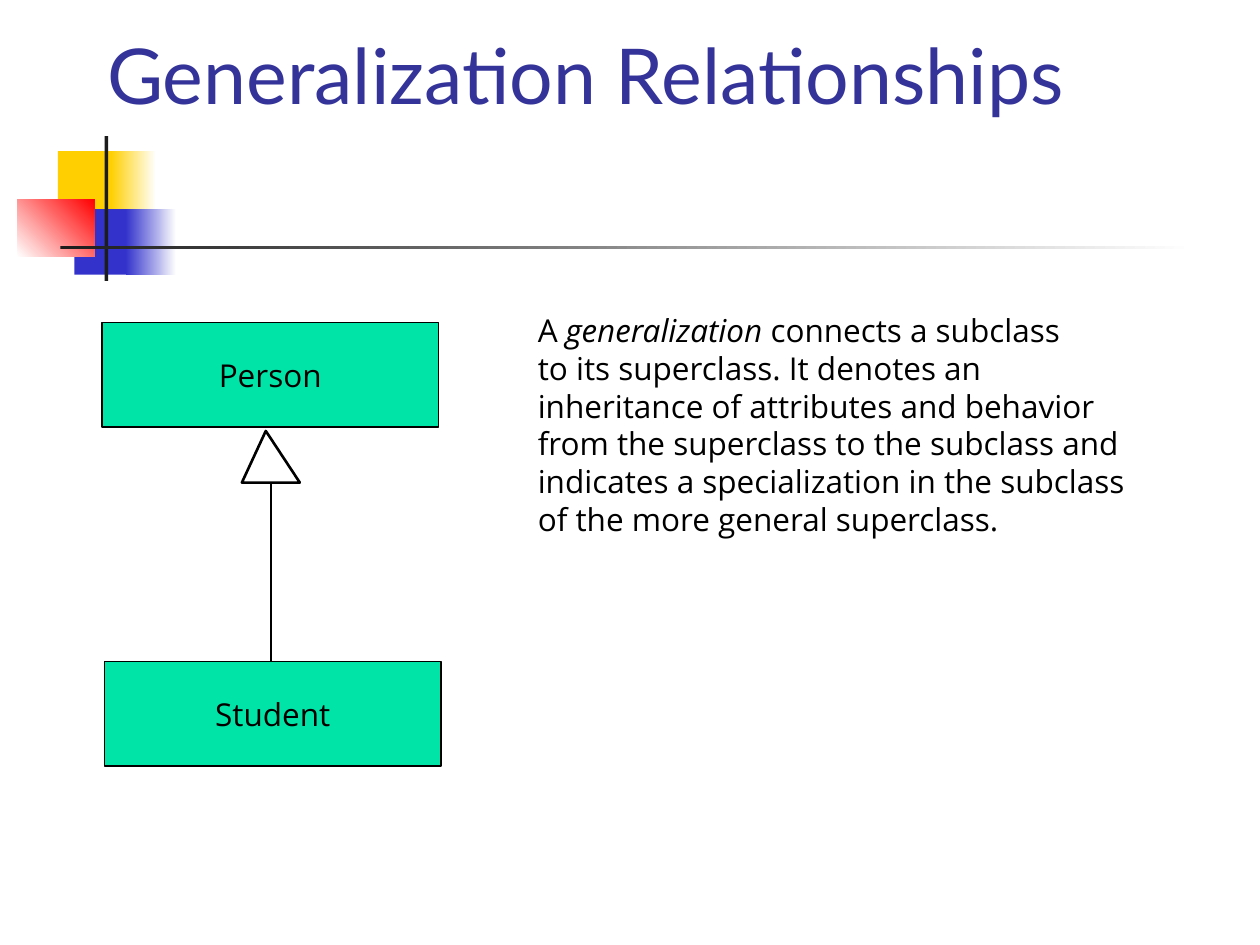
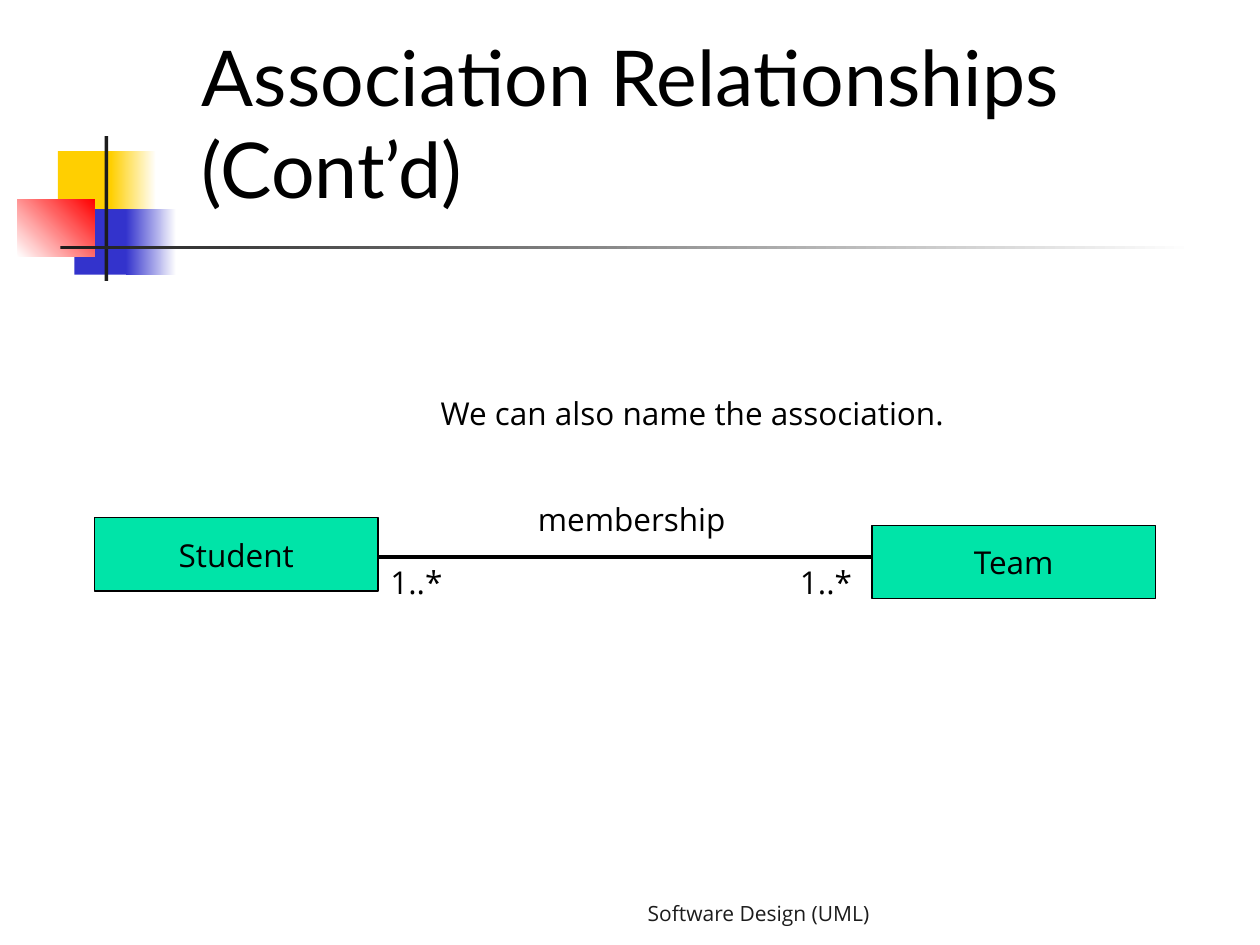
from lxml import etree
from pptx import Presentation
from pptx.dml.color import RGBColor
from pptx.enum.shapes import MSO_CONNECTOR, MSO_SHAPE
from pptx.enum.text import MSO_ANCHOR, MSO_AUTO_SIZE, PP_ALIGN
from pptx.oxml.ns import qn
from pptx.util import Inches, Pt

RECTANGLE = MSO_SHAPE.RECTANGLE
STRAIGHT = MSO_CONNECTOR.STRAIGHT
TOP, MIDDLE, BOTTOM = MSO_ANCHOR.TOP, MSO_ANCHOR.MIDDLE, MSO_ANCHOR.BOTTOM
LEFT, CENTER = PP_ALIGN.LEFT, PP_ALIGN.CENTER
RIGHT, JUSTIFY = PP_ALIGN.RIGHT, PP_ALIGN.JUSTIFY
FIXED, GROW = MSO_AUTO_SIZE.NONE, MSO_AUTO_SIZE.SHAPE_TO_FIT_TEXT

BLACK = RGBColor(0x00, 0x00, 0x00)
WHITE = RGBColor(0xFF, 0xFF, 0xFF)
CHARCOAL = RGBColor(0x1C, 0x1C, 0x1C)
YELLOW = RGBColor(0xFF, 0xCF, 0x01)
BLUE = RGBColor(0x33, 0x33, 0xCC)
RED = RGBColor(0xFF, 0x00, 0x00)
TITLE_BLUE = RGBColor(0x33, 0x33, 0x99)
CLASS_GREEN = RGBColor(0x00, 0xE4, 0xA8)

TITLE_FONT, BODY_FONT = "Lato", "Open Sans"
TITLE_ONLY_LAYOUT = 5

# Left, top, width, height, colours (two make a gradient), gradient angle
ORNAMENT = [
    (0.46, 1.2, 0.48, 0.52, [YELLOW], 0),
    (0.88, 1.2, 0.36, 0.52, [YELLOW, WHITE], 0),
    (0.59, 1.66, 0.46, 0.52, [BLUE], 0),
    (1, 1.66, 0.4, 0.52, [BLUE, WHITE], 0),
    (0.14, 1.58, 0.61, 0.46, [WHITE, RED], 45),
    (0.83, 1.08, 0.03, 1.15, [CHARCOAL], 0),
    (0.48, 1.95, 9, 0.03, [CHARCOAL, WHITE], 0),
]


def inches(*lengths):
    return [Inches(length) for length in lengths]


def style_paragraph(paragraph, align, font_name, size, color):
    paragraph.alignment = align
    font = paragraph.font
    font.name, font.size, font.color.rgb = font_name, Pt(size), color


def add_ornament(slide):
    """Coloured squares and fading rule beside the title."""
    for *bounds, colors, angle in ORNAMENT:
        block = slide.shapes.add_shape(RECTANGLE, *inches(*bounds))
        block.shadow.inherit = False
        block.line.fill.background()
        if len(colors) == 1:
            block.fill.solid()
            block.fill.fore_color.rgb = colors[0]
        else:
            block.fill.gradient()
            block.fill.gradient_angle = angle
            for stop, color in zip(block.fill.gradient_stops, colors):
                stop.color.rgb = color


def set_title(slide, text, bounds, color):
    title = slide.shapes.title
    title.left, title.top, title.width, title.height = inches(*bounds)
    frame = title.text_frame
    frame.text = text
    frame.word_wrap = True
    frame.auto_size = FIXED
    frame.vertical_anchor = BOTTOM
    style_paragraph(frame.paragraphs[0], LEFT, TITLE_FONT, 44, color)


def add_slide(deck, title, bounds, title_color):
    slide = deck.slides.add_slide(deck.slide_layouts[TITLE_ONLY_LAYOUT])
    add_ornament(slide)
    set_title(slide, title, bounds, title_color)
    return slide


def add_class_box(slide, name, *bounds):
    box = slide.shapes.add_shape(RECTANGLE, *inches(*bounds))
    box.shadow.inherit = False
    box.fill.solid()
    box.fill.fore_color.rgb = CLASS_GREEN
    box.line.color.rgb = BLACK
    box.line.width = Pt(0.75)
    frame = box.text_frame
    frame.text = name
    frame.word_wrap = False
    frame.vertical_anchor = MIDDLE
    style_paragraph(frame.paragraphs[0], CENTER, BODY_FONT, 18, BLACK)


def add_text(slide, lines, bounds, align=LEFT, size=18, color=BLACK,
             wrap=True, anchor=TOP, fit=GROW):
    """Each line is a list of (text, italic) runs."""
    frame = slide.shapes.add_textbox(*inches(*bounds)).text_frame
    frame.word_wrap = wrap
    frame.auto_size = fit
    frame.vertical_anchor = anchor
    for index, runs in enumerate(lines):
        paragraph = frame.add_paragraph() if index else frame.paragraphs[0]
        style_paragraph(paragraph, align, BODY_FONT, size, color)
        for text, italic in runs:
            run = paragraph.add_run()
            run.text = text
            if italic:
                run.font.italic = True


def add_line(shapes, start, end, width):
    line = shapes.add_connector(STRAIGHT, *inches(*start, *end))
    line.line.color.rgb = BLACK
    line.line.width = Pt(width)
    etree.SubElement(line._element.spPr, qn("a:effectLst"))


def add_generalization_arrow(slide):
    """Stem with the hollow triangle that points at the superclass."""
    arrow = slide.shapes.add_group_shape().shapes
    add_line(arrow, (2.15, 3.83), (2.15, 5.25), 1.5)
    outline = arrow.build_freeform(*inches(2.11, 3.42), scale=1.0)
    outline.add_line_segments([inches(1.92, 3.83), inches(2.38, 3.83)], close=True)
    head = outline.convert_to_shape()
    head.shadow.inherit = False
    head.fill.solid()
    head.fill.fore_color.rgb = WHITE
    head.line.color.rgb = BLACK
    head.line.width = Pt(1.5)


def build_generalization(deck):
    slide = add_slide(deck, "Generalization Relationships",
                      (0.75, 0.42, 8.58, 0.58), TITLE_BLUE)
    add_class_box(slide, "Person", 0.81, 2.56, 2.67, 0.83)
    definition = [
        [("A ", False), ("generalization", True), (" connects a subclass", False)],
        [("to its superclass. It denotes an ", False)],
        [("inheritance of attributes and behavior", False)],
        [("from the superclass to the subclass and", False)],
        [("indicates a specialization in the subclass", False)],
        [("of the more general superclass.", False)],
    ]
    add_text(slide, definition, (4.17, 2.42, 5.27, 1.9), JUSTIFY, wrap=False)
    add_class_box(slide, "Student", 0.83, 5.25, 2.67, 0.83)
    add_generalization_arrow(slide)


def build_association(deck):
    slide = add_slide(deck, "Association Relationships (Cont\u2019d)",
                      (1.5, 1.17, 8.83, 0.58), BLACK)
    add_text(slide, [[("Software Design (UML)", False)]], (2.58, 7, 4.42, 0.5),
             RIGHT, 12, CHARCOAL, anchor=MIDDLE, fit=FIXED)
    add_text(slide, [[("We can also name the association.", False)]],
             (2.33, 3.08, 6.33, 0.4), CENTER)

    # Association line, covered at its ends by the classes
    add_line(slide.shapes, (3, 4.42), (7, 4.42), 2.25)
    add_class_box(slide, "Team", 6.92, 4.17, 2.25, 0.58)
    add_class_box(slide, "Student", 0.75, 4.11, 2.25, 0.58)

    # Association name and multiplicities
    for label, *bounds in [("membership", 4.17, 3.92, 1.92, 0.5),
                           ("1..*", 3, 4.42, 0.83, 0.5),
                           ("1..*", 6.25, 4.42, 0.75, 0.5)]:
        add_text(slide, [[(label, False)]], bounds)


def main():
    deck = Presentation()
    deck.slide_width, deck.slide_height = inches(10, 7.5)
    build_generalization(deck)
    build_association(deck)
    deck.save("out.pptx")


main()
